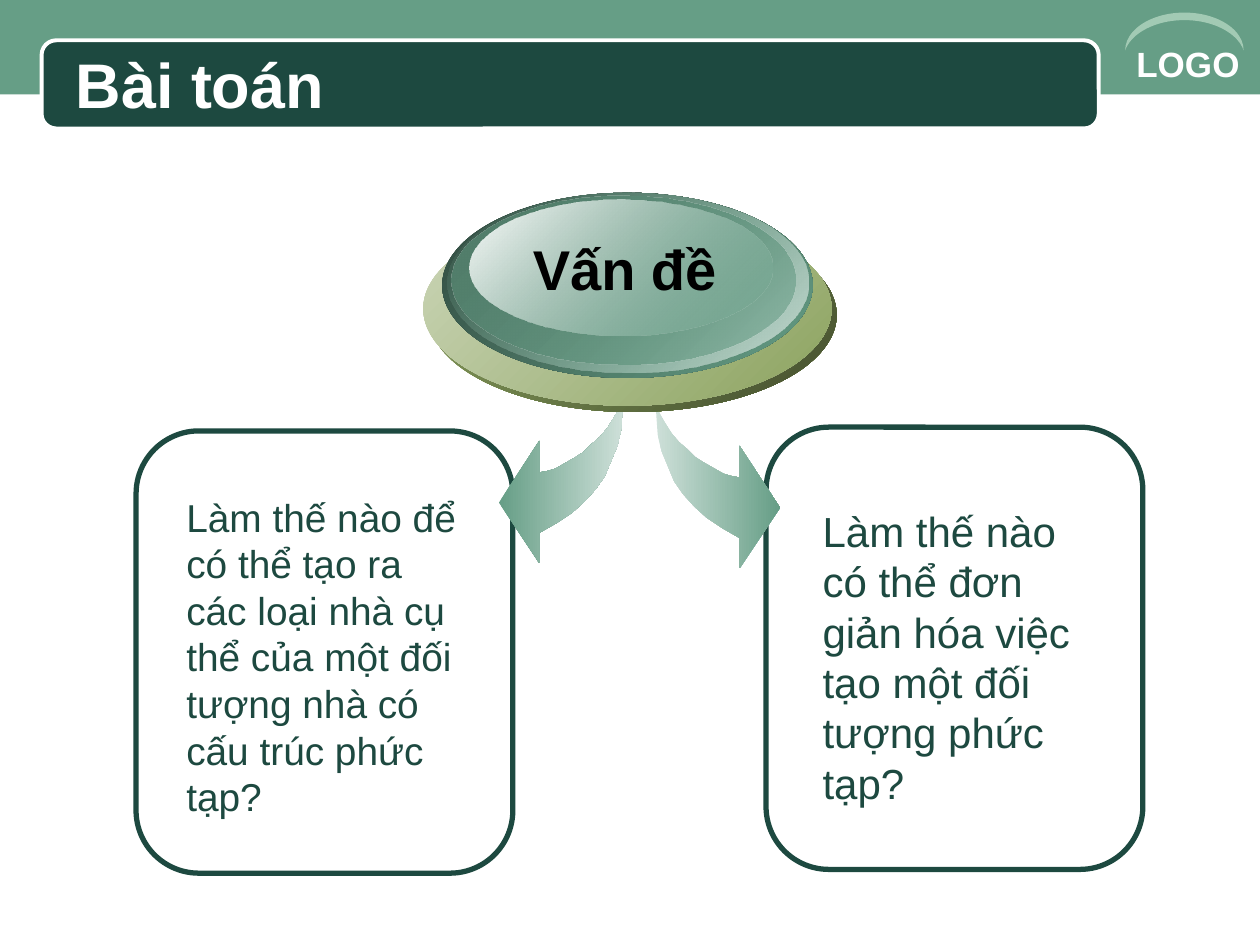
import pptx
import pptx.dml.color
import pptx.enum.shapes
import pptx.enum.text
import pptx.oxml
import pptx.oxml.ns
import pptx.util
from pptx.util import Inches

COLORS = {
    "green": "669E86",
    "dark": "1D4940",
    "pale": "A2CAB4",
    "mist": "CEE0D9",
    "white": "FFFFFF",
    "black": "000000",
}
SHAPES = pptx.enum.shapes.MSO_SHAPE
ALIGN = pptx.enum.text.PP_ALIGN
ANCHOR = pptx.enum.text.MSO_ANCHOR


def write_text(shape, text, size, color, bold=False, align=ALIGN.LEFT,
               anchor=ANCHOR.TOP, wrap=True):
    frame = shape.text_frame
    frame.auto_size = pptx.enum.text.MSO_AUTO_SIZE.NONE
    frame.word_wrap = wrap
    frame.vertical_anchor = anchor
    paragraph = frame.paragraphs[0]
    paragraph.alignment = align
    run = paragraph.add_run()
    run.text = text
    run.font.name = "Arial"
    run.font.size = pptx.util.Pt(size)
    run.font.bold = bold
    run.font.color.rgb = pptx.dml.color.RGBColor.from_string(color)


def paint(shape, stops=(), angle=0, line=None, width=0):
    shape.shadow.inherit = False
    if len(stops) == 0:
        shape.fill.background()
    elif len(stops) == 1:
        shape.fill.solid()
        shape.fill.fore_color.rgb = pptx.dml.color.RGBColor.from_string(stops[0][0])
    else:
        shape.fill.gradient()
        shape.fill.gradient_angle = -angle % 360
        elements = shape._element.spPr.findall(".//" + pptx.oxml.ns.qn("a:gs"))
        for stop, element, (color, opacity) in zip(shape.fill.gradient_stops, elements, stops):
            stop.color.rgb = pptx.dml.color.RGBColor.from_string(color)
            if opacity < 100:
                alpha = pptx.oxml.parse_xml(
                    f'<a:alpha {pptx.oxml.ns.nsdecls("a")} val="{opacity * 1000}"/>')
                element[0].append(alpha)
    if line:
        shape.line.color.rgb = pptx.dml.color.RGBColor.from_string(line)
        shape.line.width = pptx.util.Pt(width)
    else:
        shape.line.fill.background()


presentation = pptx.Presentation()
presentation.slide_width = Inches(10)
presentation.slide_height = Inches(7.5)
slide = presentation.slides.add_slide(presentation.slide_layouts[5])
shapes = slide.shapes

header = shapes.add_shape(SHAPES.RECTANGLE, 0, 0, Inches(10), Inches(0.75))
paint(header, [(COLORS["green"], 100)])

banner = shapes.add_shape(SHAPES.ROUNDED_RECTANGLE, Inches(0.33), Inches(0.32),
                          Inches(8.39), Inches(0.7))
paint(banner, [(COLORS["dark"], 100)], line=COLORS["white"], width=2.25)

label = shapes.add_textbox(Inches(8.92), Inches(0.29), Inches(1.08), Inches(0.44))
write_text(label, "LOGO", size=20, color=COLORS["white"], bold=True)

arc = shapes.add_shape(SHAPES.MOON, Inches(9.25), Inches(-0.22), Inches(0.3), Inches(0.94))
arc.adjustments[0] = 0.2
arc.rotation = 90
paint(arc, [(COLORS["pale"], 100)])

title = shapes.title
title.left, title.top = Inches(0.5), Inches(0.35)
title.width, title.height = Inches(8.08), Inches(0.62)
write_text(title, "Bài toán", size=36, color=COLORS["white"], bold=True, anchor=ANCHOR.MIDDLE)
shapes._spTree.append(title._element)

for left, top in [(6.08, 3.39), (1.08, 3.42)]:
    panel = shapes.add_shape(SHAPES.ROUNDED_RECTANGLE, Inches(left), Inches(top),
                             Inches(2.99), Inches(3.51))
    paint(panel, line=COLORS["dark"], width=3)

arrow_points = [
    (4.95, 3.11), (4.94, 3.27), (4.93, 3.41), (4.9, 3.54), (4.85, 3.66), (4.8, 3.78),
    (4.73, 3.88), (4.64, 3.98), (4.54, 4.07), (4.42, 4.15), (4.28, 4.23), (4.28, 4.47),
    (3.96, 3.99), (4.28, 3.5), (4.28, 3.75), (4.34, 3.74), (4.41, 3.72), (4.48, 3.68),
    (4.55, 3.64), (4.63, 3.59), (4.69, 3.53), (4.76, 3.47), (4.82, 3.4), (4.87, 3.32),
    (4.91, 3.25), (4.94, 3.18), (4.94, 3.11),
]
mirrored_points = [(10.15 - x, y + 0.04) for x, y in arrow_points]
arrow_stops = [(COLORS["green"], 100), (COLORS["mist"], 100)]
for points, stops in [(arrow_points, arrow_stops), (mirrored_points, arrow_stops[::-1])]:
    corners = [(Inches(x), Inches(y)) for x, y in points]
    builder = shapes.build_freeform(*corners[0])
    builder.add_line_segments(corners[1:], close=True)
    paint(builder.convert_to_shape(), stops)

ellipses = [
    (3.4, 1.73, 3.24, 1.54, ("8CA35F", 100), ("444F2E", 100)),
    (3.36, 1.68, 3.24, 1.54, ("CCD6B8", 100), ("8CA35F", 100)),
    (3.51, 1.53, 2.94, 1.47, ("2F493E", 100), (COLORS["green"], 100)),
    (3.55, 1.53, 2.87, 1.43, (COLORS["green"], 0), ("CADDD5", 100)),
    (3.58, 1.55, 2.73, 1.34, ("517D6A", 100), (COLORS["green"], 48)),
    (3.73, 1.58, 2.4, 1.08, (COLORS["white"], 100), (COLORS["green"], 38)),
]
for left, top, width, height, *stops in ellipses:
    ellipse = shapes.add_shape(SHAPES.OVAL, Inches(left), Inches(top),
                               Inches(width), Inches(height))
    paint(ellipse, stops, angle=45)

problem = shapes.add_textbox(Inches(4.13), Inches(1.81), Inches(1.78), Inches(0.64))
write_text(problem, "Vấn đề ", size=32, color=COLORS["black"], bold=True,
           align=ALIGN.CENTER, wrap=False)

questions = [
    (1.38, 22.2, "Làm thế nào để có thể tạo ra các loại nhà cụ thể của một đối tượng "
                 "nhà có cấu trúc phức tạp?"),
    (6.43, 24, "Làm thế nào có thể đơn giản hóa việc tạo một đối tượng phức tạp?"),
]
for left, size, text in questions:
    question = shapes.add_textbox(Inches(left), Inches(3.83), Inches(2.45), Inches(2.76))
    write_text(question, text, size=size, color=COLORS["dark"], anchor=ANCHOR.MIDDLE)

presentation.save("out.pptx")
